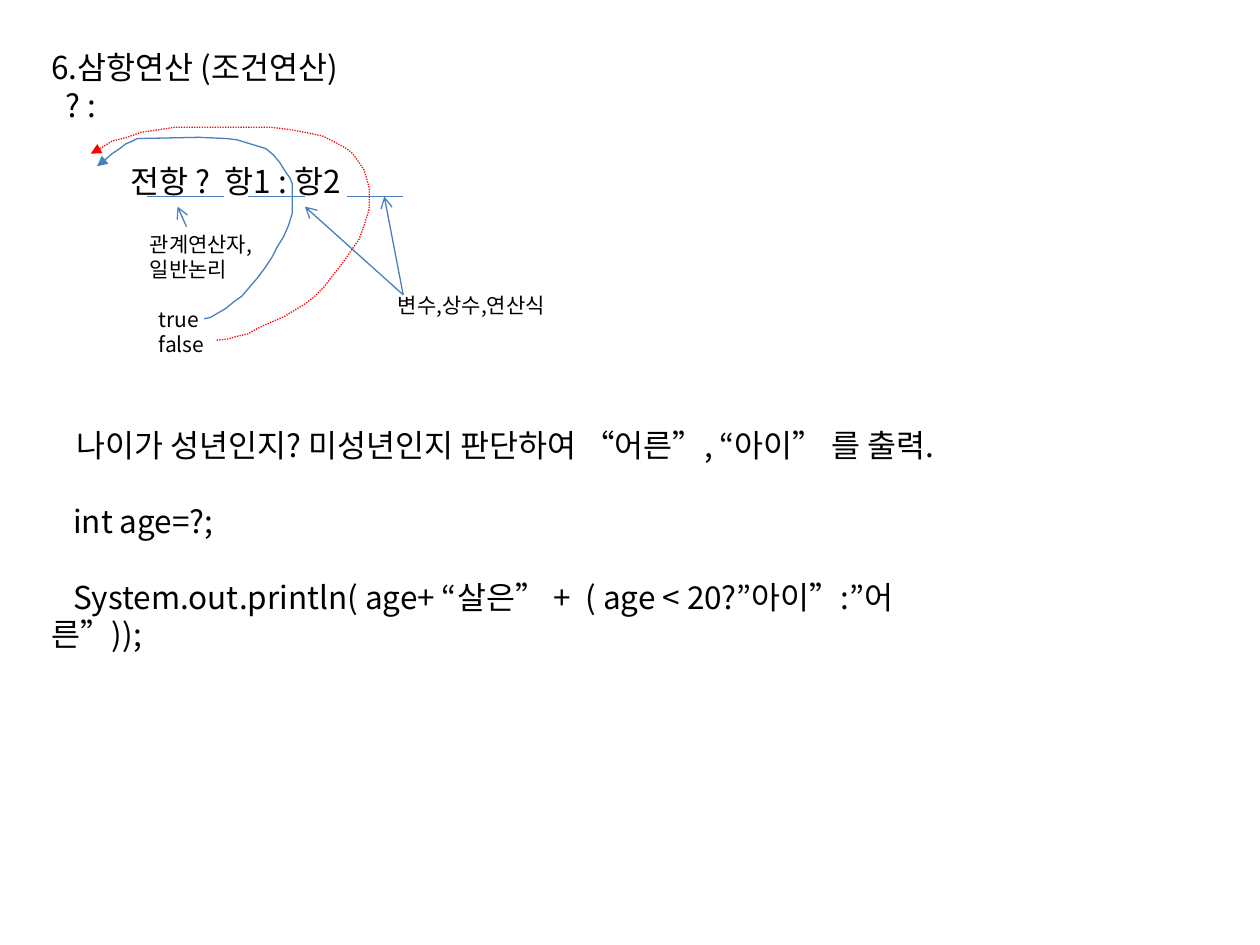
import dataclasses

import lxml.etree
import pptx
import pptx.dml.color
import pptx.enum.dml
import pptx.enum.shapes
import pptx.enum.text
import pptx.oxml.ns
import pptx.util

Cm, Pt = pptx.util.Cm, pptx.util.Pt
qn = pptx.oxml.ns.qn


@dataclasses.dataclass(frozen=True)
class Theme:
    """Colours, font and type sizes of the slide."""
    font: str = "Noto Sans CJK KR"
    ink: str = "000000"
    blue: str = "4B7EBC"
    red: str = "FF0000"
    body: int = 18
    caption: int = 12
    leading: float = 1.2
    stroke: float = 0.75


THEME = Theme()


def hundredths(count):
    """Length of a count of hundredths of an inch, the grid of this slide."""
    return Cm(2.54 * count / 100)


def color(value):
    """RGB colour of a hex value."""
    return pptx.dml.color.RGBColor.from_string(value)


def write(paragraph, text, size=THEME.body, ink=THEME.ink, indent=0, blank_lines=0):
    """Write one formatted paragraph, with a first-line indent in cm."""
    line_height = size * THEME.leading
    paragraph.alignment = pptx.enum.text.PP_ALIGN.LEFT
    paragraph.line_spacing = Pt(line_height)
    paragraph.space_before = Pt(line_height * blank_lines)
    paragraph._p.get_or_add_pPr().set("indent", str(Cm(indent)))
    run = paragraph.add_run()
    run.text = text
    run.font.size = Pt(size)
    run.font.name = THEME.font
    run.font.color.rgb = color(ink)
    lxml.etree.SubElement(run._r.get_or_add_rPr(), qn("a:ea"), typeface=THEME.font)


def fill_frame(frame, lines, size=THEME.body):
    """Write (text, format) lines into a wrapping text frame."""
    frame.word_wrap = True
    frame.auto_size = pptx.enum.text.MSO_AUTO_SIZE.NONE
    frame.vertical_anchor = pptx.enum.text.MSO_ANCHOR.TOP
    frame.margin_left = frame.margin_right = Cm(0.25)
    frame.margin_top, frame.margin_bottom = Cm(0.19), Cm(0.13)
    for index, (text, style) in enumerate(lines):
        paragraph = frame.add_paragraph() if index else frame.paragraphs[0]
        write(paragraph, text, size=size, **style)


def add_text(slide, box, lines, size=THEME.body):
    """Add a text box on the grid."""
    area = slide.shapes.add_textbox(*map(hundredths, box))
    fill_frame(area.text_frame, lines, size)


def style_line(shape, ink=THEME.blue, head=None, dash=None):
    """Set colour, dash and arrowhead of a line or curve."""
    shape.line.color.rgb = color(ink)
    shape.line.width = Pt(THEME.stroke)
    if dash:
        shape.line.dash_style = dash
    if head:
        outline = shape.element.spPr.find(qn("a:ln"))
        lxml.etree.SubElement(outline, qn("a:tailEnd"), type=head)


def add_line(slide, origin, start, end, head=None):
    """Add a straight line relative to an origin."""
    points = [hundredths(o + p) for point in (start, end) for o, p in zip(origin, point)]
    line = slide.shapes.add_connector(pptx.enum.shapes.MSO_CONNECTOR.STRAIGHT, *points)
    style_line(line, head=head)
    lxml.etree.SubElement(line.element.spPr, qn("a:effectLst"))


def add_curve(slide, origin, points, **style):
    """Add an open curve through points relative to an origin."""
    builder = slide.shapes.build_freeform(*points[0], scale=hundredths(1))
    builder.add_line_segments(points[1:], close=False)
    curve = builder.convert_to_shape(*map(hundredths, origin))
    curve.fill.background()
    curve.shadow.inherit = False
    style_line(curve, head="triangle", **style)


def add_heading(slide, box):
    """Place the title in its box."""
    title = slide.shapes.title
    title.left, title.top, title.width, title.height = map(hundredths, box)
    fill_frame(title.text_frame, [("6.삼항연산 (조건연산)", {})])


def add_lesson(slide, box):
    """Write the operator, its pattern and the code example."""
    add_text(slide, box, [
        ("? :", dict(indent=0.28)),
        ("전항 ?  항1 : 항2", dict(indent=1.6, blank_lines=1)),
        ("나이가 성년인지? 미성년인지 판단하여 “어른”, “아이” 를 출력.",
         dict(indent=0.5, blank_lines=6)),
        ("int age=?;", dict(indent=0.44, blank_lines=1)),
        ("System.out.println( age+ “살은” +  ( age < 20?”아이”:”어른”));",
         dict(indent=0.44, blank_lines=1)),
    ])


TRUE_PATH = [
    (92, 153), (97, 152), (102, 149), (109, 145), (115, 140), (122, 135), (128, 128),
    (134, 121), (140, 113), (146, 104), (150, 96), (155, 88), (159, 79), (162, 69),
    (162, 46), (160, 41), (157, 37), (152, 29), (147, 23), (141, 18), (128, 14),
    (118, 11), (110, 10), (88, 9), (39, 10), (33, 13), (30, 14), (25, 18), (19, 22),
    (12, 28), (7, 32)]
FALSE_PATH = [
    (102, 170), (111, 169), (118, 167), (127, 165), (132, 162), (140, 158), (147, 155),
    (156, 151), (164, 146), (171, 142), (179, 136), (187, 128), (193, 120), (201, 110),
    (208, 100), (215, 90), (219, 79), (223, 66), (223, 49), (219, 35), (215, 29),
    (210, 22), (205, 18), (198, 14), (186, 8), (177, 6), (161, 3), (145, 1), (69, 1),
    (56, 3), (42, 5), (31, 9), (19, 12), (11, 17), (4, 21), (2, 22)]


def add_diagram(slide, origin):
    """Mark the three operands, their captions and the two result paths."""
    left, top = origin
    underline = 56
    for start, end in ((47, 108), (127, 172), (205, 250)):
        add_line(slide, origin, (start, underline), (end, underline))
    operand_source = (250, 134)
    for start, end in (((78, 80), (71, 64)),
                       (operand_source, (172, 64)),
                       (operand_source, (235, underline))):
        add_line(slide, origin, start, end, head="arrow")
    add_text(slide, (left + 39, top + 76, 108, 111), [
        ("관계연산자,", {}),
        ("일반논리", {}),
        ("true", dict(indent=0.18, blank_lines=1)),
        ("false", dict(indent=0.18)),
    ], THEME.caption)
    add_curve(slide, origin, TRUE_PATH)
    add_curve(slide, origin, FALSE_PATH, ink=THEME.red,
              dash=pptx.enum.dml.MSO_LINE.ROUND_DOT)
    add_text(slide, (left + 236, top + 125, 142, 30),
             [("변수,상수,연산식", {})], THEME.caption)


def main():
    """Build and save the slide."""
    deck = pptx.Presentation()
    deck.slide_width, deck.slide_height = Cm(25.4), Cm(19.05)
    slide = deck.slides.add_slide(deck.slide_layouts.get_by_name("Title Only"))
    add_heading(slide, (31, 31, 750, 40))
    add_lesson(slide, (31, 61, 750, 465))
    add_diagram(slide, (70, 100))
    deck.save("out.pptx")


main()
